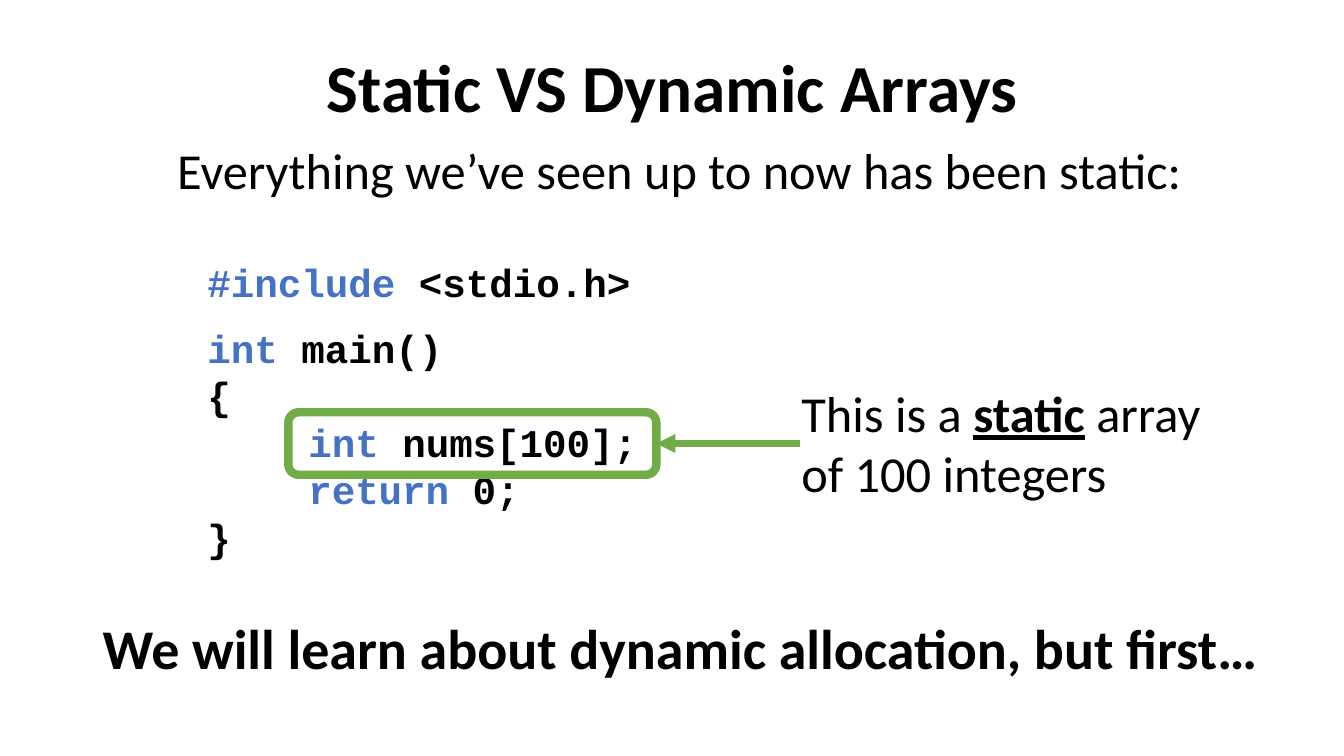
from dataclasses import dataclass

from lxml import etree
from pptx import Presentation
from pptx.dml.color import RGBColor
from pptx.enum.shapes import MSO_CONNECTOR, MSO_SHAPE
from pptx.enum.text import MSO_ANCHOR, PP_ALIGN
from pptx.oxml.ns import qn
from pptx.util import Inches, Pt

CENTER, LEFT = PP_ALIGN.CENTER, PP_ALIGN.LEFT
MIDDLE, TOP = MSO_ANCHOR.MIDDLE, MSO_ANCHOR.TOP
STRAIGHT, ROUNDED = MSO_CONNECTOR.STRAIGHT, MSO_SHAPE.ROUNDED_RECTANGLE
RIGHT_SIDE = 3
BLANK_LAYOUT = 6


@dataclass(frozen=True)
class Theme:
    text: RGBColor = RGBColor(0x00, 0x00, 0x00)
    keyword: RGBColor = RGBColor(0x44, 0x72, 0xC4)
    accent: RGBColor = RGBColor(0x70, 0xAD, 0x47)
    body_font: str = "Calibri"
    code_font: str = "Courier New"
    title_size: Pt = Pt(48)
    closing_size: Pt = Pt(40)
    body_size: Pt = Pt(36)
    code_size: Pt = Pt(28)
    code_gap: Pt = Pt(14)
    code_indent: Inches = Inches(1)
    frame_width: Pt = Pt(6)
    arrow_width: Pt = Pt(4.5)


THEME = Theme()
TITLE = {"name": THEME.body_font, "size": THEME.title_size, "bold": True}
BODY = {"name": THEME.body_font, "size": THEME.body_size}
CLOSING = {"name": THEME.body_font, "size": THEME.closing_size, "bold": True}
CODE = {"name": THEME.code_font, "size": THEME.code_size, "bold": True}
KEYWORD = {"color": THEME.keyword}
EMPHASIS = {"bold": True, "underline": True}

CODE_LINES = [
    [("#include", KEYWORD), (" <stdio.h>", {})],
    [("int", KEYWORD), (" main()", {})],
    [("{", {})],
    [("\t", {}), ("int ", KEYWORD), ("nums[100];", {})],
    [("\t", {}), ("return", KEYWORD), (" 0;", {})],
    [("}", {})],
]


def add_run(paragraph, text, format_values):
    run = paragraph.add_run()
    run.text = text
    values = {"color": THEME.text, **format_values}
    run.font.color.rgb = values.pop("color")
    for attribute, value in values.items():
        setattr(run.font, attribute, value)


def add_text(slide, box, lines, base_format, align=LEFT, anchor=TOP):
    """Add a text box whose lines are lists of (text, format) and return its paragraphs."""
    frame = slide.shapes.add_textbox(*map(Inches, box)).text_frame
    frame.word_wrap = True
    frame.vertical_anchor = anchor
    for index, line in enumerate(lines):
        paragraph = frame.add_paragraph() if index else frame.paragraphs[0]
        paragraph.alignment = align
        for text, format_values in line:
            add_run(paragraph, text, {**base_format, **format_values})
    return frame.paragraphs


def add_heading(slide, box, text, base_format, anchor=TOP):
    return add_text(slide, box, [[(text, {})]], base_format, CENTER, anchor)


def set_tab_stop(paragraph, position):
    tab_list = etree.SubElement(paragraph._p.get_or_add_pPr(), qn("a:tabLst"))
    etree.SubElement(tab_list, qn("a:tab"), pos=str(position), algn="l")


def add_code(slide, box):
    """Add the listing and return the frame around its array declaration."""
    left, top = box[:2]
    paragraphs = add_text(slide, box, CODE_LINES, CODE)
    paragraphs[1].space_before = THEME.code_gap
    for paragraph in paragraphs:
        if paragraph.text.startswith("\t"):
            set_tab_stop(paragraph, THEME.code_indent)
    frame_box = (left + 0.9, top + 1.58, 3.65, 0.62)
    frame = slide.shapes.add_shape(ROUNDED, *map(Inches, frame_box))
    frame.shadow.inherit = False
    frame.fill.background()
    frame.line.color.rgb = THEME.accent
    frame.line.width = THEME.frame_width
    return frame


def add_callout(slide, box, target):
    """Add the explanation with an arrow to the right side of the target."""
    words = [("This is a ", {}), ("static", EMPHASIS), (" array of 100 integers", {})]
    add_text(slide, box, [words], BODY)
    middle = target.top + target.height // 2
    arrow = slide.shapes.add_connector(
        STRAIGHT, Inches(box[0] + 0.08), middle, target.left + target.width, middle
    )
    arrow.end_connect(target, RIGHT_SIDE)
    arrow.line.color.rgb = THEME.accent
    arrow.line.width = THEME.arrow_width
    etree.SubElement(arrow.line._get_or_add_ln(), qn("a:tailEnd"), type="triangle")
    etree.SubElement(arrow._element.spPr, qn("a:effectLst"))


def build_arrays_slide(presentation):
    slide = presentation.slides.add_slide(presentation.slide_layouts[BLANK_LAYOUT])
    title = add_heading(slide, (0.92, 0.18, 11.5, 1.45), "Static VS Dynamic Arrays", TITLE, MIDDLE)
    title[0].line_spacing = 0.9
    add_heading(
        slide, (1.06, 1.33, 11.36, 0.71), "Everything we’ve seen up to now has been static:", BODY
    )
    declaration = add_code(slide, (1.96, 2.51, 5.23, 3.13))
    add_heading(
        slide, (0.54, 6.04, 12.41, 0.77), "We will learn about dynamic allocation, but first…", CLOSING
    )
    add_callout(slide, (7.85, 3.74, 4.26, 1.31), declaration)


def main():
    presentation = Presentation()
    presentation.slide_width = Inches(13.33)
    presentation.slide_height = Inches(7.5)
    build_arrays_slide(presentation)
    presentation.save("out.pptx")


if __name__ == "__main__":
    main()
